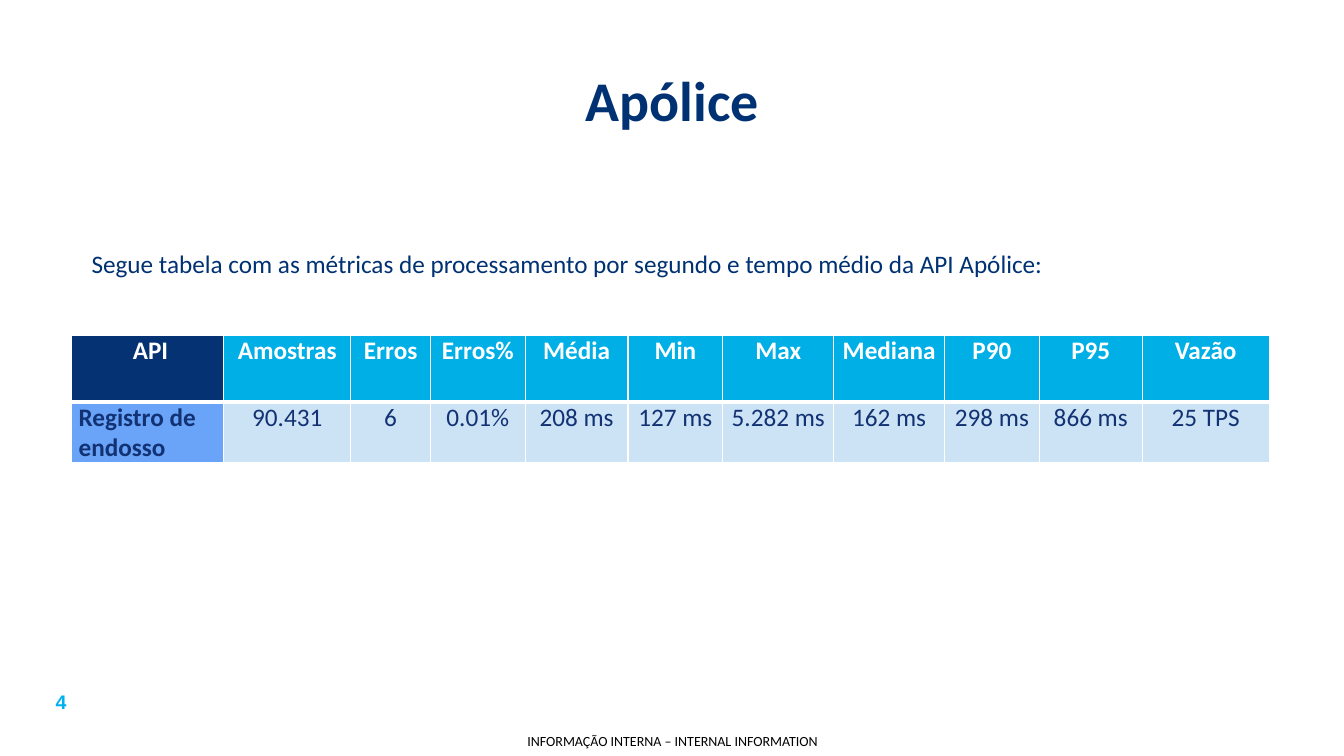
import pptx
import pptx.util
import pptx.dml.color
import pptx.enum.text
import pptx.oxml
import pptx.oxml.ns
from dataclasses import dataclass
from lxml import etree

Inches, Pt = pptx.util.Inches, pptx.util.Pt
ALIGN = pptx.enum.text.PP_ALIGN
ANCHOR = pptx.enum.text.MSO_ANCHOR


@dataclass(frozen=True)
class Theme:
    font: str = "Calibri"
    number_font: str = "Arial"
    navy: str = "003273"
    header_navy: str = "053273"
    cell_navy: str = "123274"
    cyan: str = "00AFE6"
    number_cyan: str = "00B0F0"
    blue: str = "69A4F9"
    pale: str = "CCE3F5"
    white: str = "FFFFFF"
    black: str = "000000"
    title_size: int = 40
    body_size: int = 18
    number_size: int = 14
    footer_size: int = 10
    thin: int = 1
    thick: int = 3


class SlideBuilder:
    def __init__(self, prs, theme):
        self.theme = theme
        self.s = prs.slides.add_slide(prs.slide_layouts[5])

    def set_text(self, tf, text, size, color, bold=False, align=ALIGN.LEFT, font=None):
        tf.word_wrap = True
        p = tf.paragraphs[0]
        p.text = text
        p.alignment = align
        p.font.name = font or self.theme.font
        p.font.size = Pt(size)
        p.font.bold = bold
        p.font.color.rgb = pptx.dml.color.RGBColor.from_string(color)
        return p

    def title(self, text, left, top, width, height):
        sp = self.s.shapes.title
        sp.left, sp.top = Inches(left), Inches(top)
        sp.width, sp.height = Inches(width), Inches(height)
        sp.text_frame.vertical_anchor = ANCHOR.MIDDLE
        self.set_text(sp.text_frame, text, self.theme.title_size, self.theme.navy,
                      True, ALIGN.CENTER)

    def text(self, text, box, size, color, indent=0, inset=None, anchor=ANCHOR.TOP, **style):
        sp = self.s.shapes.add_textbox(*map(Inches, box))
        tf = sp.text_frame
        tf.vertical_anchor = anchor
        if inset is not None:
            tf.margin_left = tf.margin_right = Inches(inset)
            tf.margin_top = tf.margin_bottom = Inches(inset)
        p = self.set_text(tf, text, size, color, **style)
        if indent:
            p._p.get_or_add_pPr().set("marL", str(Inches(indent)))

    def border(self, cell, side, width):
        ln = etree.SubElement(cell._tc.get_or_add_tcPr(), pptx.oxml.ns.qn(f"a:ln{side}"),
                              w=str(Pt(width)))
        fill = etree.SubElement(ln, pptx.oxml.ns.qn("a:solidFill"))
        etree.SubElement(fill, pptx.oxml.ns.qn("a:srgbClr"), val=self.theme.white)

    def cell(self, cell, text, is_header, is_first):
        t = self.theme
        cell.margin_left = cell.margin_right = Inches(0.07)
        cell.margin_top = cell.margin_bottom = 0
        # The rule between header and data is thick, every other one thin
        widths = {"L": t.thin, "R": t.thin,
                  "T": t.thin if is_header else t.thick,
                  "B": t.thick if is_header else t.thin}
        for side, width in widths.items():
            self.border(cell, side, width)
        if is_header:
            fill, color = (t.header_navy if is_first else t.cyan), t.white
        else:
            fill, color = (t.blue if is_first else t.pale), t.cell_navy
        cell.fill.solid()
        cell.fill.fore_color.rgb = pptx.dml.color.RGBColor.from_string(fill)
        align = ALIGN.LEFT if is_first and not is_header else ALIGN.CENTER
        self.set_text(cell.text_frame, text, t.body_size, color, is_header or is_first, align)

    def table(self, rows, left, top, col_widths, row_heights):
        table = self.s.shapes.add_table(
            len(rows), len(col_widths), Inches(left), Inches(top),
            Inches(sum(col_widths)), Inches(sum(row_heights))).table
        table.horz_banding = False
        for col, width in zip(table.columns, col_widths):
            col.width = Inches(width)
        for r, (row, height) in enumerate(zip(rows, row_heights)):
            table.rows[r].height = Inches(height)
            for c, text in enumerate(row):
                self.cell(table.cell(r, c), text, r == 0, c == 0)


METRICS = [
    [" API", "Amostras", "Erros", "Erros%", "Média", "Min", "Max", "Mediana",
     "P90", "P95", "Vazão"],
    ["Registro de endosso", "90.431", "6", "0.01%", "208 ms", "127 ms", "5.282 ms",
     "162 ms", "298 ms", "866 ms", "25 TPS"],
]
COL_WIDTHS = [1.51, 1.26, 0.79, 0.94, 1.02, 0.94, 1.1, 1.1, 0.94, 1.02, 1.26]


def main():
    prs = pptx.Presentation()
    prs.slide_width, prs.slide_height = Inches(13.33), Inches(7.5)
    theme = Theme()
    slide = SlideBuilder(prs, theme)

    # Page number and footer
    slide.text("4", (0.21, 6.8, 0.79, 0.34), theme.number_size, theme.number_cyan,
               bold=True, align=ALIGN.CENTER, font=theme.number_font)
    slide.text("INFORMAÇÃO INTERNA – INTERNAL INFORMATION", (5.03, 7.21, 3.28, 0.29),
               theme.footer_size, theme.black, inset=0, anchor=ANCHOR.MIDDLE,
               align=ALIGN.CENTER)

    # Title and introduction
    slide.title("Apólice", 4.68, 0.48, 3.98, 1.01)
    slide.text("Segue tabela com as métricas de processamento por segundo e tempo médio "
               "da API Apólice:", (-0.19, 2.41, 12.81, 0.4),
               theme.body_size, theme.navy, indent=1)

    # Metrics table
    slide.table(METRICS, 0.71, 3.33, COL_WIDTHS, [0.66, 0.59])

    prs.save("out.pptx")


if __name__ == "__main__":
    main()
